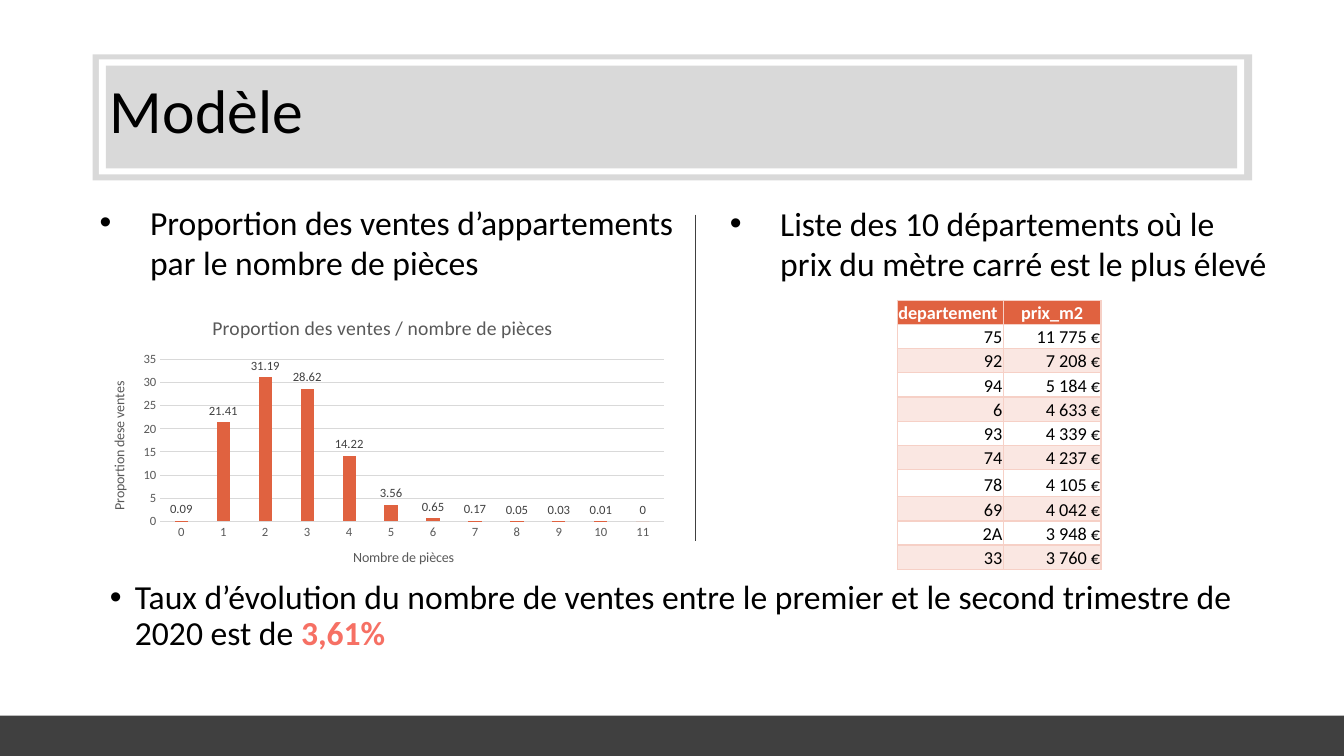
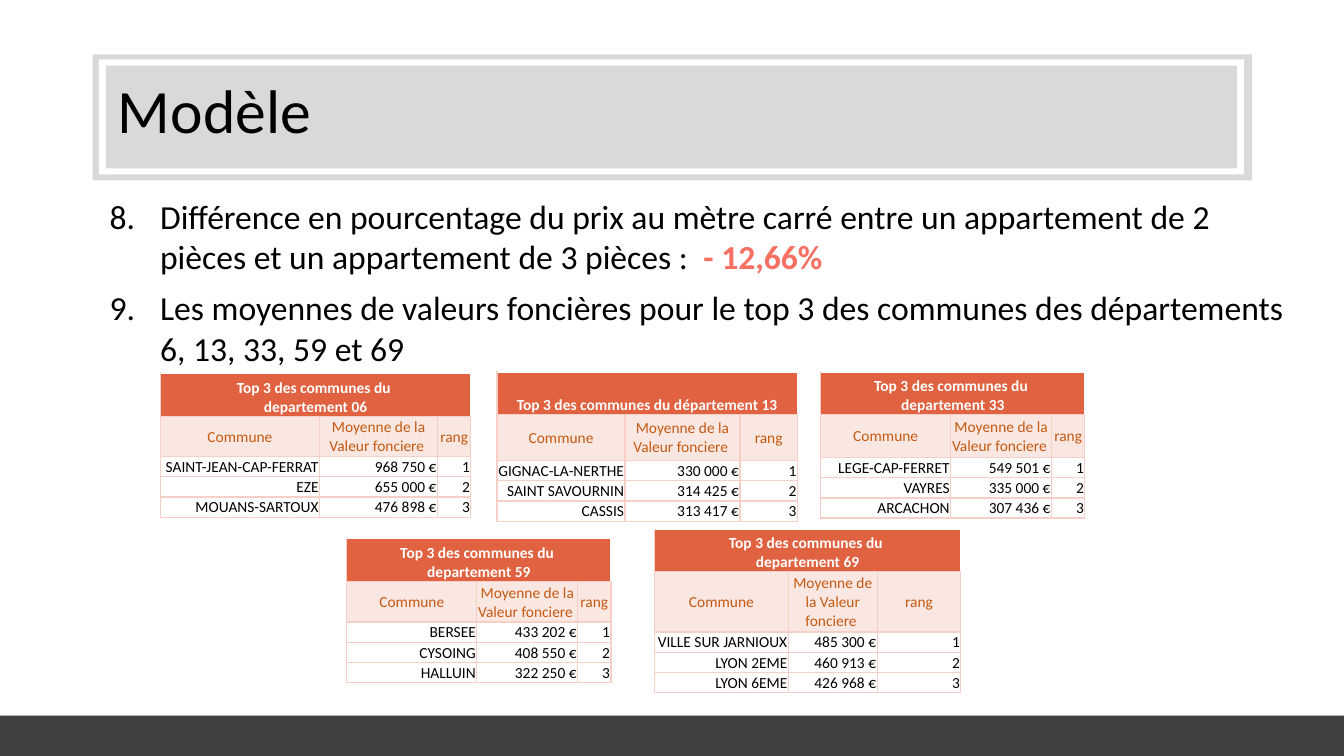
from copy import deepcopy

from lxml import etree
from pptx import Presentation
from pptx.chart.data import CategoryChartData
from pptx.dml.color import RGBColor
from pptx.enum import chart as ch, shapes as sh, text as tx
from pptx.oxml.ns import qn
from pptx.util import Inches, Pt

BLACK = RGBColor(0x00, 0x00, 0x00)
WHITE = RGBColor(0xFF, 0xFF, 0xFF)
DARK = RGBColor(0x40, 0x40, 0x40)
GREY = RGBColor(0x59, 0x59, 0x59)
LIGHT = RGBColor(0xD9, 0xD9, 0xD9)
ORANGE = RGBColor(0xE0, 0x62, 0x40)
PALE = RGBColor(0xFA, 0xE7, 0xE2)
EDGE = RGBColor(0xF6, 0xD0, 0xC6)
RUST = RGBColor(0xC6, 0x59, 0x11)
CORAL = RGBColor(0xF6, 0x70, 0x64)

FONT = "Calibri"
THIN = " "  # narrow no-break space between thousands
LEFT, MID, RIGHT = tx.PP_ALIGN.LEFT, tx.PP_ALIGN.CENTER, tx.PP_ALIGN.RIGHT

BANDS = [
    (0.92, 0.54, 11.5, 1.25, LIGHT),
    (0.98, 0.59, 11.36, 1.14, WHITE),
    (1.05, 0.65, 11.22, 1.02, LIGHT),
    (0, 7.1, 13.33, 0.4, DARK),
]
SHARES = [0.09, 21.41, 31.19, 28.62, 14.22, 3.56,
          0.65, 0.17, 0.05, 0.03, 0.01, 0]
PRICES = [("75", 11775), ("92", 7208), ("94", 5184), ("6", 4633),
          ("93", 4339), ("74", 4237), ("78", 4105), ("69", 4042),
          ("2A", 3948), ("33", 3760)]

# left, top, column widths, heights of the two head rows, title, towns
TOPS = [
    (1.59, 3.7, (1.58, 1.17, 0.33), (0.43, 0.4),
     "Top 3 des communes du \vdepartement 06",
     [("SAINT-JEAN-CAP-FERRAT", 968750), ("EZE", 655000),
      ("MOUANS-SARTOUX", 476898)]),
    (4.93, 3.69, (1.27, 1.14, 0.57), (0.42, 0.46),
     "Top 3 des communes du département 13",
     [("GIGNAC-LA-NERTHE", 330000), ("SAINT SAVOURNIN", 314425),
      ("CASSIS", 313417)]),
    (8.14, 3.69, (1.29, 1, 0.33), (0.42, 0.43),
     "Top 3 des communes du \vdepartement 33",
     [("LEGE-CAP-FERRET", 549501), ("VAYRES", 335000),
      ("ARCACHON", 307436)]),
    (3.44, 5.34, (1.29, 1, 0.33), (0.43, 0.4),
     "Top 3 des communes du \vdepartement 59",
     [("BERSEE", 433202), ("CYSOING", 408550), ("HALLUIN", 322250)]),
    (6.49, 5.25, (1.33, 0.88, 0.83), (0.42, 0.6),
     "Top 3 des communes du \vdepartement 69",
     [("VILLE SUR JARNIOUX", 485300), ("LYON 2EME", 460913),
      ("LYON 6EME", 426968)]),
]


def put(item, **vals):
    """Set several attributes of one object."""
    for name, val in vals.items():
        setattr(item, name, val)


def style(font, size, color, bold=False):
    put(font, name=FONT, size=Pt(size), bold=bold)
    font.color.rgb = color


def euro(num):
    return f"{num:,} €".replace(",", THIN)


def bands(slide, layout):
    """Draw the title frame and the footer, then keep them on the layout."""
    tree = layout.shapes.element
    for place, (*box, color) in enumerate(BANDS, 2):
        band = slide.shapes.add_shape(sh.MSO_SHAPE.RECTANGLE,
                                      *map(Inches, box))
        band.shadow.inherit = False
        band.fill.solid()
        band.fill.fore_color.rgb = color
        band.line.fill.background()
        tree.insert(place, band.element)


def title(slide, left):
    head = slide.shapes.title
    put(head, left=Inches(left), top=Inches(0.4),
        width=Inches(12.42 - left), height=Inches(1.45))
    frame = head.text_frame
    put(frame, text="Modèle", vertical_anchor=tx.MSO_ANCHOR.MIDDLE,
        auto_size=tx.MSO_AUTO_SIZE.NONE)
    par = frame.paragraphs[0]
    put(par, alignment=LEFT, line_spacing=0.9)
    style(par.runs[0].font, 44, BLACK)


def point(slide, box, words, strong="", start=None, indent=0.5, **spacing):
    """Add a bullet, or a numbered item if start is given."""
    frame = slide.shapes.add_textbox(*map(Inches, box)).text_frame
    frame.word_wrap = True
    par = frame.paragraphs[0]
    put(par, **spacing)
    props = par._p.get_or_add_pPr()
    props.set("marL", str(Inches(indent)))
    props.set("indent", str(-Inches(indent)))
    if start:
        etree.SubElement(props, qn("a:buAutoNum"), type="arabicPeriod",
                         startAt=str(start))
    else:
        etree.SubElement(props, qn("a:buFont"), typeface="Arial")
        etree.SubElement(props, qn("a:buChar"), char="•")
    for part, color in ((words, BLACK), (strong, CORAL)):
        if part:
            run = par.add_run()
            run.text = part
            style(run.font, 24, color, color == CORAL)


def edge(cell, sides):
    props = cell._tc.get_or_add_tcPr()
    for side in sides:
        line = etree.SubElement(props, qn("a:ln" + side), w=str(Pt(1)))
        fill = etree.SubElement(line, qn("a:solidFill"))
        etree.SubElement(fill, qn("a:srgbClr"), val=str(EDGE))


def write(cell, words, size, color=BLACK, align=RIGHT, fill=None, bold=False,
          anchor=tx.MSO_ANCHOR.BOTTOM, sides="LRTB"):
    put(cell, margin_left=Inches(0.01), margin_right=Inches(0.01),
        margin_top=Inches(0.01), margin_bottom=0, vertical_anchor=anchor)
    par = cell.text_frame.paragraphs[0]
    put(par, text=words, alignment=align)
    for run in par.runs:
        style(run.font, size, color, bold)
    for gap in par._p.findall(qn("a:br")):
        gap.append(deepcopy(par.runs[0]._r.rPr))
    edge(cell, sides)
    if fill is None:
        cell.fill.background()
    else:
        cell.fill.solid()
        cell.fill.fore_color.rgb = fill


def grid(slide, left, top, cols, rows):
    """Add an empty table with the given column widths and row heights."""
    box = map(Inches, (left, top, sum(cols), sum(rows)))
    table = slide.shapes.add_table(len(rows), len(cols), *box).table
    table.horz_banding = False
    for col, width in zip(table.columns, cols):
        col.width = Inches(width)
    for row, height in zip(table.rows, rows):
        row.height = Inches(height)
    return table


def prices(slide, left, top):
    rows = [0.27 if row == 7 else 0.24 for row in range(len(PRICES) + 1)]
    table = grid(slide, left, top, (1.05, 0.97), rows)
    heads = (("departement", LEFT), ("prix_m2", MID))
    for col, (words, align) in enumerate(heads):
        write(table.cell(0, col), words, 13, WHITE, align, ORANGE, True)
    for row, (dept, price) in enumerate(PRICES, 1):
        for col, words in enumerate((dept, euro(price))):
            write(table.cell(row, col), words, 13,
                  fill=None if row % 2 else PALE)


def towns(slide, left, top, cols, heads, name, ranks):
    table = grid(slide, left, top, cols, (*heads, *[0.2] * len(ranks)))
    first = table.cell(0, 0)
    first.merge(table.cell(0, 2))
    write(first, name, 11, WHITE, MID, ORANGE, True, sides="LB")
    labels = ("Commune", "Moyenne de la Valeur fonciere ", "rang")
    for col, words in enumerate(labels):
        write(table.cell(1, col), words, 11, RUST, MID, PALE,
              anchor=tx.MSO_ANCHOR.MIDDLE)
    for rank, (town, price) in enumerate(ranks, 1):
        for col, words in enumerate((town, euro(price), str(rank))):
            write(table.cell(rank + 1, col), words, 11)


def caption(owner, words, size):
    """Title a chart or one of its axes."""
    owner.has_title = True
    part = owner.chart_title if hasattr(owner, "chart_title") \
        else owner.axis_title
    par = part.text_frame.paragraphs[0]
    par.text = words
    style(par.runs[0].font, size, GREY)


def shares(slide, box):
    data = CategoryChartData()
    data.categories = [str(num) for num in range(len(SHARES))]
    data.add_series("Series 1", SHARES)
    chart = slide.shapes.add_chart(ch.XL_CHART_TYPE.COLUMN_CLUSTERED,
                                   *map(Inches, box), data).chart
    chart.has_legend = False
    style(chart.font, 10, BLACK)
    caption(chart, "Proportion des ventes / nombre de pièces", 14)

    plot = chart.plots[0]
    put(plot, gap_width=219, overlap=-27, vary_by_categories=False,
        has_data_labels=True)
    bars = plot.series[0].format.fill
    bars.solid()
    bars.fore_color.rgb = ORANGE
    put(plot.data_labels, show_value=True,
        position=ch.XL_LABEL_POSITION.OUTSIDE_END)
    style(plot.data_labels.font, 9, DARK)

    cats, vals = chart.category_axis, chart.value_axis
    caption(cats, "Nombre de pièces", 10)
    caption(vals, "Proportion dese ventes", 10)
    for axis in (cats, vals):
        put(axis, major_tick_mark=ch.XL_TICK_MARK.NONE,
            minor_tick_mark=ch.XL_TICK_MARK.NONE)
        style(axis.tick_labels.font, 9, GREY)
    put(vals, minimum_scale=0, maximum_scale=35, major_unit=5)
    vals.format.line.fill.background()
    for line in (cats.format.line, vals.major_gridlines.format.line):
        line.color.rgb = LIGHT
        line.width = Pt(0.75)


def divide(slide, left, top, bottom):
    line = slide.shapes.add_connector(
        sh.MSO_CONNECTOR.STRAIGHT, *map(Inches, (left, top, left, bottom)))
    line.line.color.rgb = DARK
    line.line.width = Pt(1)
    etree.SubElement(line.element.spPr, qn("a:effectLst"))


def sales(slide):
    title(slide, 0.99)
    point(slide, (0.89, 1.95, 6.25, 0.91),
          "Proportion des ventes d’appartements par le nombre de pièces")
    point(slide, (7.14, 1.96, 5.53, 0.91),
          "Liste des 10 départements où le prix du mètre carré "
          "est le plus élevé")
    shares(slide, (0.89, 2.97, 5.81, 2.85))
    prices(slide, 8.9, 2.98)
    divide(slide, 6.9, 2.13, 5.37)
    point(slide, (0.99, 5.71, 11.51, 0.82),
          "Taux d’évolution du nombre de ventes entre le premier et le "
          "second trimestre de 2020 est de ", "3,61%",
          indent=0.25, line_spacing=0.9, space_before=Pt(10))


def values(slide):
    title(slide, 1.07)
    point(slide, (0.99, 1.89, 11.86, 0.91),
          "Différence en pourcentage du prix au mètre carré entre un "
          "appartement de 2 pièces et un appartement de 3 pièces : ",
          " - 12,66%", start=8)
    point(slide, (0.99, 2.8, 11.86, 0.91),
          "Les moyennes de valeurs foncières pour le top 3 des communes "
          "des départements 6, 13, 33, 59 et 69", start=9)
    for top in TOPS:
        towns(slide, *top)


def main():
    deck = Presentation()
    put(deck, slide_width=Inches(13.33), slide_height=Inches(7.5))
    layout = deck.slide_layouts.get_by_name("Title Only")
    pages = [deck.slides.add_slide(layout) for _ in range(2)]
    bands(pages[0], layout)
    for build, page in zip((sales, values), pages):
        build(page)
    deck.save("out.pptx")


if __name__ == "__main__":
    main()
